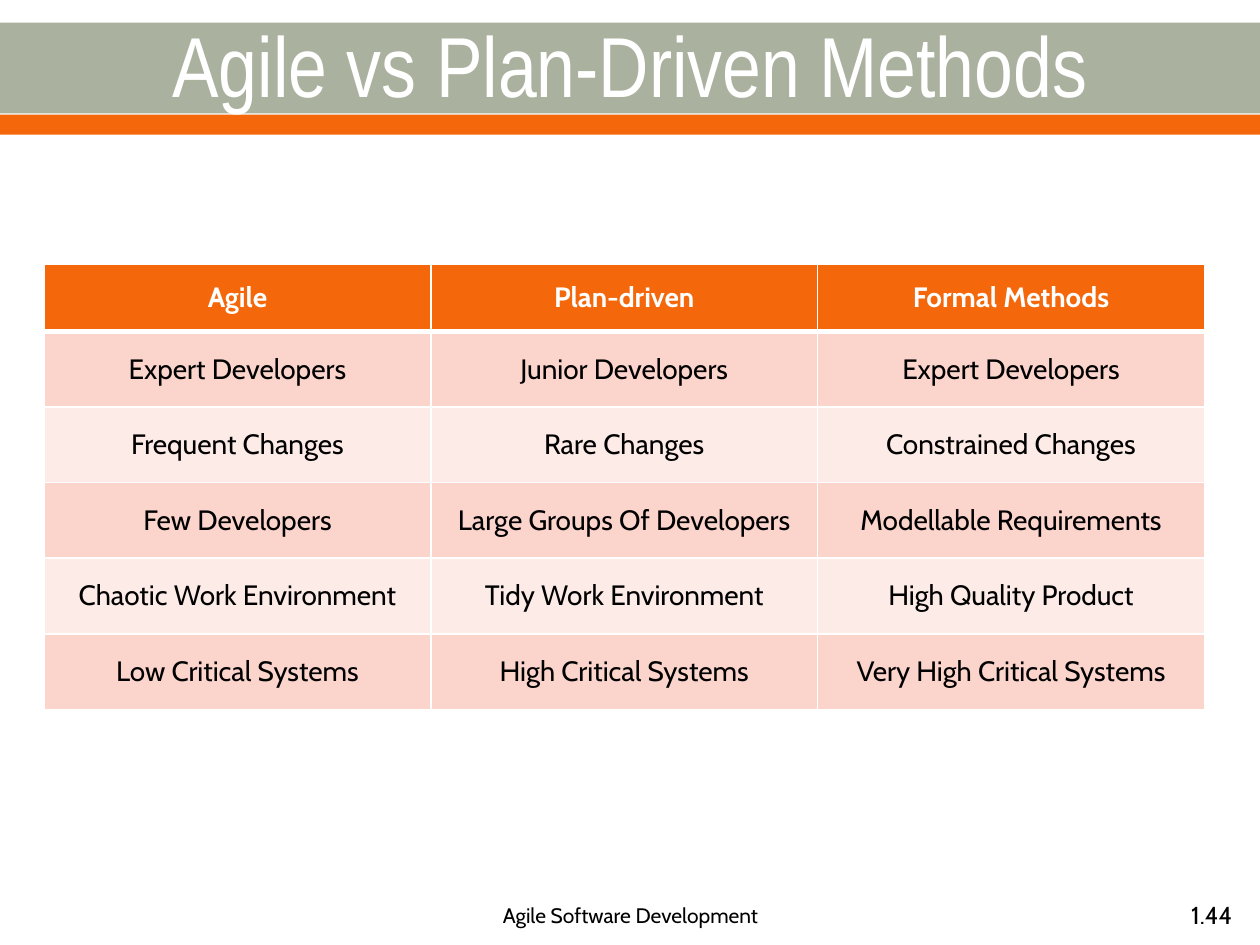
from lxml.etree import SubElement
from pptx import Presentation
from pptx.dml.color import RGBColor
from pptx.enum.shapes import MSO_SHAPE
from pptx.enum.text import MSO_ANCHOR, PP_ALIGN
from pptx.oxml.ns import qn
from pptx.util import Inches, Pt

COLORS = {
    "sage": "ABB19F",
    "orange": "F4680B",
    "pink": "FBD4CC",
    "pale": "FDEBE7",
    "white": "FFFFFF",
    "black": "000000",
}


def write(frame, text, size, font, color, align=PP_ALIGN.CENTER, bold=False):
    para = frame.paragraphs[0]
    para.alignment = align
    span = para.add_run()
    span.text = text
    span.font.size = Pt(size)
    span.font.name = font
    span.font.bold = bold
    span.font.color.rgb = RGBColor.from_string(COLORS[color])


def add_border(cell, side, width):
    properties = cell._tc.get_or_add_tcPr()
    line = SubElement(properties, qn(f"a:ln{side}"), w=str(Pt(width)))
    fill = SubElement(line, qn("a:solidFill"))
    SubElement(fill, qn("a:srgbClr"), val=COLORS["white"])


deck = Presentation()
deck.slide_width = Inches(10)
deck.slide_height = Inches(7.5)
page = deck.slides.add_slide(deck.slide_layouts[6])

# Header bands
for top, height, color in [(0.18, 0.72, "sage"), (0.91, 0.16, "orange")]:
    band = page.shapes.add_shape(
        MSO_SHAPE.RECTANGLE, 0, Inches(top), Inches(10), Inches(height))
    band.shadow.inherit = False
    band.fill.solid()
    band.fill.fore_color.rgb = RGBColor.from_string(COLORS[color])
    band.line.fill.background()

# Title, footer and page number
texts = [
    ("Agile vs Plan-Driven Methods", 0, 0.19, 10, 0.62,
     48.6, "Arial Narrow", "white", PP_ALIGN.CENTER),
    ("Agile Software Development", 3.42, 7.06, 3.17, 0.4,
     12, "Cabin", "black", PP_ALIGN.CENTER),
    ("1.44", 8.15, 7.06, 1.73, 0.4, 14, "Cabin", "black", PP_ALIGN.RIGHT),
]
for text, left, top, width, height, size, font, color, align in texts:
    box = page.shapes.add_textbox(
        Inches(left), Inches(top), Inches(width), Inches(height))
    box.text_frame.word_wrap = True
    box.text_frame.vertical_anchor = MSO_ANCHOR.MIDDLE
    write(box.text_frame, text, size, font, color, align)

# Comparison table
rows = [
    ["Agile", "Plan-driven", "Formal Methods"],
    ["Expert Developers", "Junior Developers", "Expert Developers"],
    ["Frequent Changes", "Rare Changes", "Constrained Changes"],
    ["Few Developers", "Large Groups Of Developers", "Modellable Requirements"],
    ["Chaotic Work Environment", "Tidy Work Environment", "High Quality Product"],
    ["Low Critical Systems", "High Critical Systems", "Very High Critical Systems"],
]
table = page.shapes.add_table(
    len(rows), 3, Inches(0.35), Inches(2.1), Inches(9.21), Inches(3.53)).table
for column in table.columns:
    column.width = Inches(3.07)

for row_index, labels in enumerate(rows):
    header = row_index == 0
    table.rows[row_index].height = Inches(0.53 if header else 0.6)
    fill_color = "orange" if header else ("pale", "pink")[row_index % 2]
    for column_index, label in enumerate(labels):
        cell = table.cell(row_index, column_index)
        cell.vertical_anchor = MSO_ANCHOR.MIDDLE
        # The rule between the header and the body is heavier
        top_width = 3 if row_index == 1 else 1
        bottom_width = 3 if header else 1
        for side, width in zip("LRTB", (1, 1, top_width, bottom_width)):
            add_border(cell, side, width)
        cell.fill.solid()
        cell.fill.fore_color.rgb = RGBColor.from_string(COLORS[fill_color])
        write(cell.text_frame, label, 16, "Cabin",
              "white" if header else "black", bold=header)

deck.save("out.pptx")
